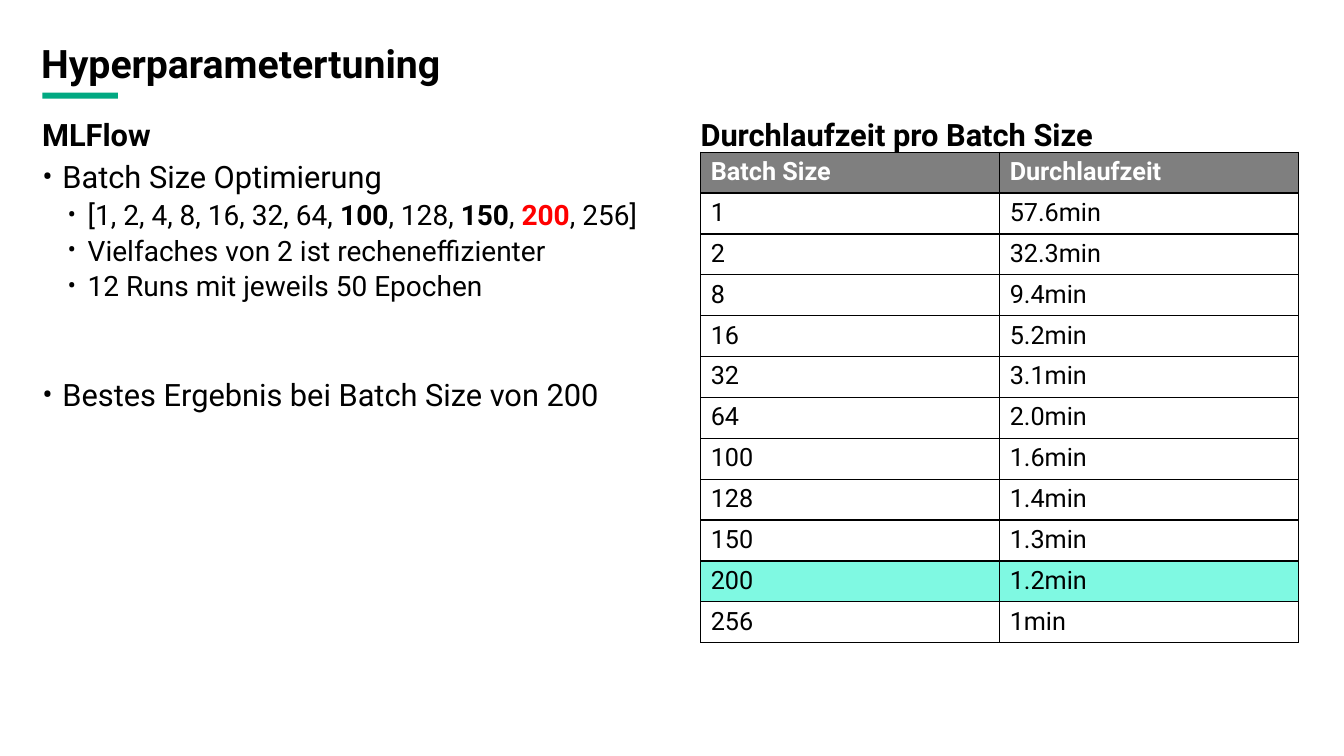
from lxml import etree
from pptx import Presentation
from pptx import util as u
from pptx.dml import color as dml_color
from pptx.enum import shapes, text
from pptx.oxml import ns

COLORS = {"green": "01A982", "mint": "7FF9E2", "gray": "7F7F7F",
          "black": "000000", "white": "FFFFFF", "red": "FF0000"}

BULLETS = [
    (0, 0, [("Batch Size Optimierung", {})]),
    (1, 4, [("[1, 2, 4, 8, 16, 32, 64, ", {}), ("100", {"bold": True}),
            (", 128, ", {}), ("150", {"bold": True}), (", ", {}),
            ("200", {"bold": True, "color": "red"}), (", 256]", {})]),
    (1, 4, [("Vielfaches von 2 ist recheneffizienter", {})]),
    (1, 4, [("12 Runs mit jeweils 50 Epochen", {})]),
    (0, 55, [("Bestes Ergebnis bei Batch Size von 200", {})]),
]

RUNTIMES = [
    ("Batch Size", "Durchlaufzeit"),
    ("1", "57.6min"), ("2", "32.3min"), ("8", "9.4min"), ("16", "5.2min"),
    ("32", "3.1min"), ("64", "2.0min"), ("100", "1.6min"), ("128", "1.4min"),
    ("150", "1.3min"), ("200", "1.2min"), ("256", "1min"),
]


def rgb(name):
    return dml_color.RGBColor.from_string(COLORS[name])


class SlideBuilder:
    """Hold the style and the current slide, and add its elements."""

    font_name = "Roboto"
    level_sizes = (22, 20)
    level_margins = (0.2, 0.45)
    bullet_scales = (100, 90)

    def __init__(self, slide):
        self.slide = slide

    def add_run(self, paragraph, wording, size, color="black", bold=False):
        run = paragraph.add_run()
        run.text = wording
        values = {"name": self.font_name, "size": u.Pt(size), "bold": bold}
        for attribute, value in values.items():
            setattr(run.font, attribute, value)
        run.font.color.rgb = rgb(color)

    def add_frame(self, left, top, width, height, side_margin=0.1,
                  anchor=text.MSO_ANCHOR.TOP):
        box = self.slide.shapes.add_textbox(
            *map(u.Inches, (left, top, width, height)))
        values = {"word_wrap": True, "vertical_anchor": anchor,
                  "margin_left": u.Inches(side_margin),
                  "margin_right": u.Inches(side_margin),
                  "margin_top": u.Inches(0.1),
                  "margin_bottom": u.Inches(0.1)}
        for attribute, value in values.items():
            setattr(box.text_frame, attribute, value)
        return box.text_frame

    def add_heading(self, wording, size, *place, **options):
        paragraph = self.add_frame(*place, **options).paragraphs[0]
        paragraph.line_spacing = 0.9
        self.add_run(paragraph, wording, size, bold=True)

    def add_bullets(self, items, *place):
        frame = self.add_frame(*place, side_margin=0)
        for index, (level, space_before, runs) in enumerate(items):
            paragraph = frame.add_paragraph() if index else frame.paragraphs[0]
            properties = paragraph._p.get_or_add_pPr()
            properties.set("marL", str(u.Inches(self.level_margins[level])))
            properties.set("indent", str(u.Inches(-0.2)))
            scale = etree.SubElement(properties, ns.qn("a:buSzPct"))
            scale.set("val", str(self.bullet_scales[level] * 1000))
            font = etree.SubElement(properties, ns.qn("a:buFont"))
            font.set("typeface", self.font_name)
            etree.SubElement(properties, ns.qn("a:buChar")).set("char", "•")
            values = {"level": level, "line_spacing": 0.9,
                      "space_before": u.Pt(space_before)}
            for attribute, value in values.items():
                setattr(paragraph, attribute, value)
            for wording, style in runs:
                self.add_run(paragraph, wording, self.level_sizes[level], **style)

    def add_bar(self, *place):
        shape = self.slide.shapes.add_shape(
            shapes.MSO_SHAPE.RECTANGLE, *map(u.Inches, place))
        shape.shadow.inherit = False
        shape.fill.solid()
        shape.fill.fore_color.rgb = rgb("green")
        shape.line.fill.background()

    def add_borders(self, cell):
        properties = cell._tc.get_or_add_tcPr()
        for side in ("lnL", "lnR", "lnT", "lnB"):
            line = etree.SubElement(properties, ns.qn(f"a:{side}"))
            line.set("w", str(u.Pt(1)))
            fill = etree.SubElement(line, ns.qn("a:solidFill"))
            color = etree.SubElement(fill, ns.qn("a:srgbClr"))
            color.set("val", COLORS["black"])

    def add_table(self, rows, highlighted, left, top, width, height):
        table = self.slide.shapes.add_table(
            len(rows), len(rows[0]),
            *map(u.Inches, (left, top, width, height))).table
        for attribute in ("first_row", "horz_banding"):
            setattr(table, attribute, False)
        for row_index, row in enumerate(rows):
            header = row_index == 0
            fill = "gray" if header else "mint" if row[0] == highlighted else "white"
            for column_index, wording in enumerate(row):
                cell = table.cell(row_index, column_index)
                self.add_borders(cell)
                cell.fill.solid()
                cell.fill.fore_color.rgb = rgb(fill)
                self.add_run(cell.text_frame.paragraphs[0], wording, 18,
                             "white" if header else "black", header)


def main():
    presentation = Presentation()
    presentation.slide_width = u.Inches(13.33)
    presentation.slide_height = u.Inches(7.5)
    builder = SlideBuilder(
        presentation.slides.add_slide(presentation.slide_layouts[6]))

    builder.add_bar(0.42, 0.92, 0.75, 0.06)
    builder.add_bullets(BULLETS, 0.42, 1.51, 5.93, 5.16)
    builder.add_heading("MLFlow", 22, 0.32, 1.09, 6.03, 0.42)
    builder.add_table(RUNTIMES, "200", 6.95, 1.51, 5.93, 4.87)
    builder.add_heading("Durchlaufzeit pro Batch Size", 22, 6.85, 1.09, 6.03, 0.42)
    builder.add_heading("Hyperparametertuning", 28, 0.31, 0.43, 12.57, 0.44,
                        anchor=text.MSO_ANCHOR.MIDDLE)
    presentation.save("out.pptx")


if __name__ == "__main__":
    main()
